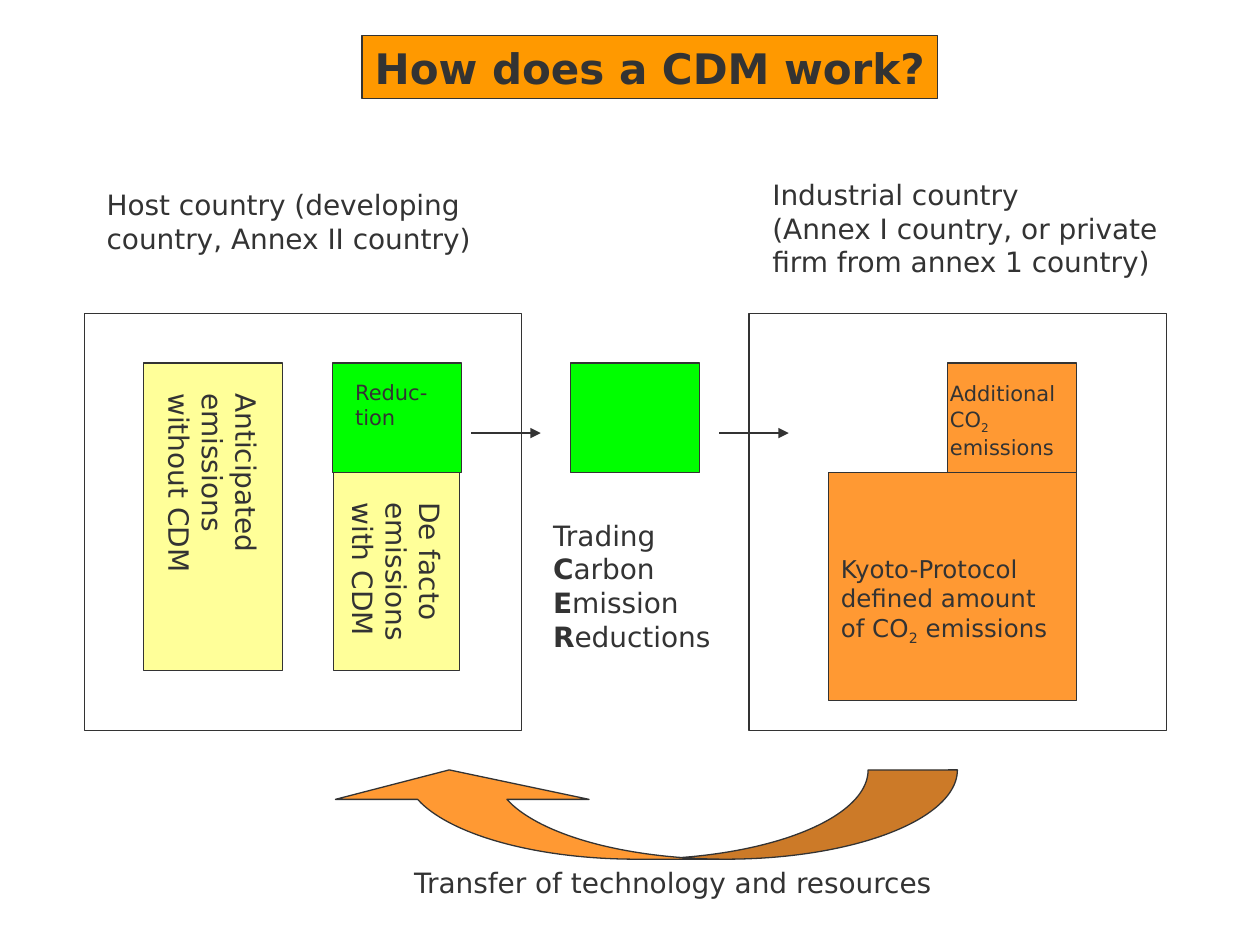
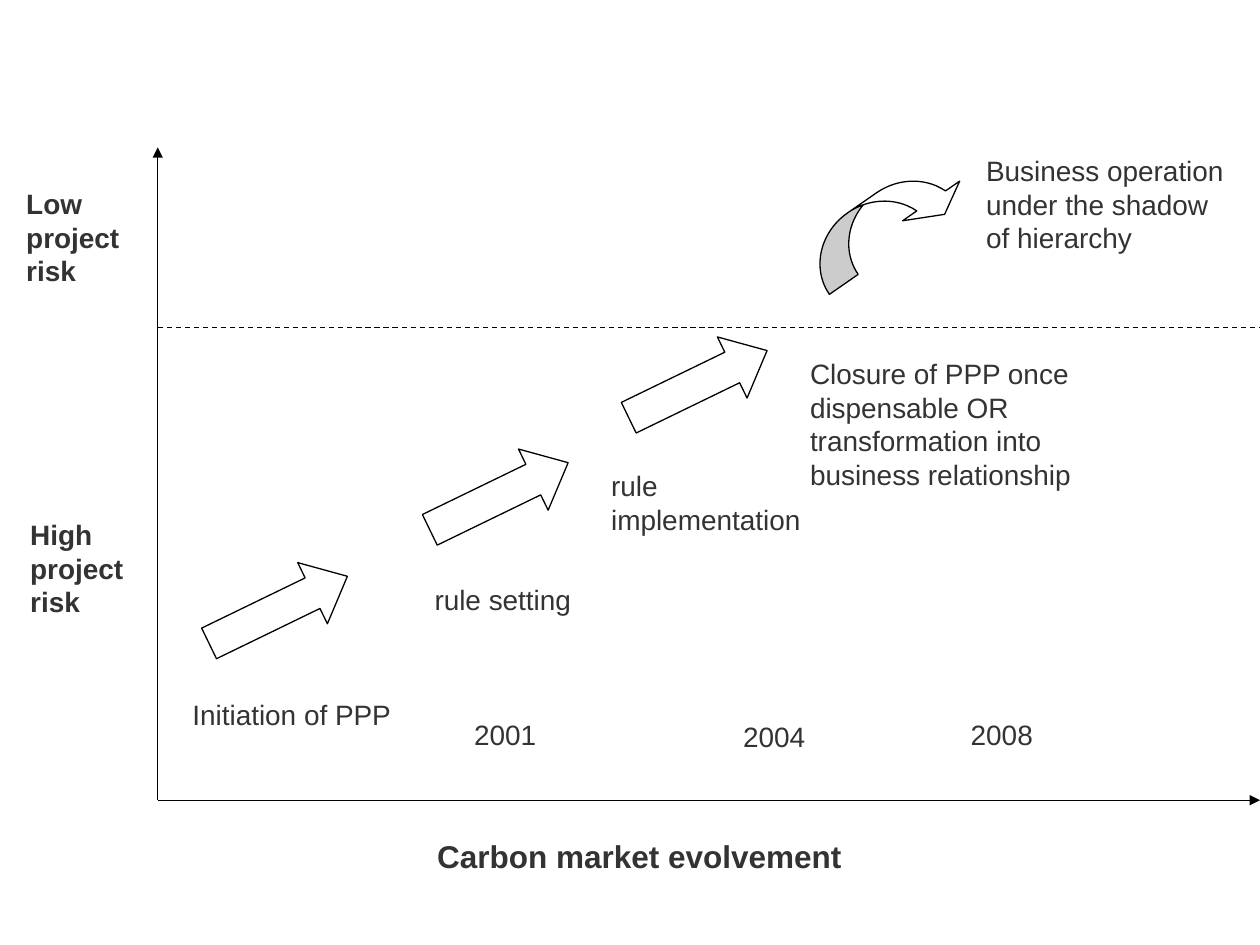
from dataclasses import dataclass
from typing import Optional

from lxml.etree import SubElement
from pptx import Presentation
from pptx.dml.color import RGBColor
from pptx.enum.dml import MSO_LINE
from pptx.enum.shapes import MSO_CONNECTOR, MSO_SHAPE as Kind
from pptx.enum.text import MSO_ANCHOR as Anchor, PP_ALIGN as Align
from pptx.oxml.ns import qn
from pptx.util import Cm, Pt


@dataclass(frozen=True)
class Theme:
    ink: str = "333333"
    black: str = "000000"
    white: str = "FFFFFF"
    yellow: str = "FFFF99"
    green: str = "00FF00"
    orange: str = "FF9933"
    banner: str = "FF9900"
    sans: str = "DejaVu Sans"
    arial: str = "Arial"
    head: int = 24
    axis: int = 18
    body: int = 16
    note: int = 14
    small: int = 12
    line: float = 0.75


T = Theme()
Place = tuple[float, float, float, float]


@dataclass(frozen=True)
class Box:
    """A rectangle or plain text; text between bars is emphasised."""
    at: Place
    text: str = ""
    fill: Optional[str] = None
    line: Optional[str] = None
    font: str = T.sans
    size: int = T.body
    bold: bool = False
    align: Align = Align.LEFT
    anchor: Anchor = Anchor.TOP
    top: float = 0.13
    turned: bool = False


@dataclass(frozen=True)
class Arrow:
    kind: Kind
    at: Place
    turn: float
    adj: tuple[float, ...]
    fill: str
    line: str


@dataclass(frozen=True)
class Rule:
    start: tuple[float, float]
    end: tuple[float, float]
    color: str
    head: bool = True
    dash: bool = False


def rgb(code: str) -> RGBColor:
    return RGBColor.from_string(code)


def paint(shape, fill: Optional[str], line: Optional[str]) -> None:
    if fill:
        shape.fill.solid()
        shape.fill.fore_color.rgb = rgb(fill)
    else:
        shape.fill.background()
    if line:
        shape.line.color.rgb = rgb(line)
        shape.line.width = Pt(T.line)
    else:
        shape.line.fill.background()


def write(shape, box: Box) -> None:
    frame = shape.text_frame
    frame.word_wrap = True
    frame.vertical_anchor = box.anchor
    side = 0.13 if box.turned else 0.25
    frame.margin_left = frame.margin_right = Cm(side)
    frame.margin_top = Cm(box.top)
    frame.margin_bottom = Cm(0.25 if box.turned else 0.13)
    if box.turned:
        frame._txBody.bodyPr.set("vert", "eaVert")
    frame.text = box.text.replace("|", "")
    for par, row in zip(frame.paragraphs, box.text.split("\n")):
        par.alignment = box.align
        par.space_before = Pt(0)
        parts = row.split("|")
        par.runs[0].text = parts[0]
        for part in parts[1:]:
            par.add_run().text = part
        for i, run in enumerate(par.runs):
            mark = i % 2 == 1
            sub = mark and run.text.isdigit()
            font = run.font
            font.name = box.font
            font.size = Pt(box.size)
            font.color.rgb = rgb(T.ink)
            font.bold = box.bold or (mark and not sub)
            if sub:
                font._element.set("baseline", "-25000")


def draw_box(slide, box: Box) -> None:
    at = [Cm(v) for v in box.at]
    if box.fill or box.line:
        shape = slide.shapes.add_shape(Kind.RECTANGLE, *at)
        shape.shadow.inherit = False
        paint(shape, box.fill, box.line)
    else:
        shape = slide.shapes.add_textbox(*at)
    if box.text:
        write(shape, box)


def draw_title(slide, box: Box) -> None:
    title = slide.shapes.title
    title.left, title.top, title.width, title.height = map(Cm, box.at)
    paint(title, box.fill, box.line)
    write(title, box)


def draw_arrow(slide, arrow: Arrow) -> None:
    shape = slide.shapes.add_shape(arrow.kind, *map(Cm, arrow.at))
    shape.shadow.inherit = False
    shape.rotation = arrow.turn
    for i, value in enumerate(arrow.adj):
        shape.adjustments[i] = value
    paint(shape, arrow.fill, arrow.line)


def draw_rule(slide, rule: Rule) -> None:
    ends = [Cm(v) for v in rule.start + rule.end]
    link = slide.shapes.add_connector(MSO_CONNECTOR.STRAIGHT, *ends)
    link.line.color.rgb = rgb(rule.color)
    link.line.width = Pt(T.line)
    if rule.dash:
        link.line.dash_style = MSO_LINE.DASH
    if rule.head:
        SubElement(link.line._get_or_add_ln(), qn("a:tailEnd"), type="triangle")
    SubElement(link._element.spPr, qn("a:effectLst"))


DRAW = {Box: draw_box, Arrow: draw_arrow, Rule: draw_rule}


def draw(slide, items: list) -> None:
    for item in items:
        DRAW[type(item)](slide, item)


def cdm_slide(deck) -> None:
    slide = deck.slides.add_slide(deck.slide_layouts[5])
    draw_title(slide, Box((7.3, 0.72, 11.6, 1.27), "How does a CDM work?",
                          T.banner, T.ink, size=T.head, bold=True,
                          align=Align.CENTER))
    row, base, edge = 7.32, 9.52, 6.32
    wide, tall = 2.6, 2.2

    def bar(at: Place, text: str) -> Box:
        return Box(at, text, T.yellow, T.ink, anchor=Anchor.MIDDLE,
                   top=0.61, turned=True)

    def block(left: float, fill: str) -> Box:
        return Box((left, row, wide, tall), fill=fill, line=T.ink)

    draw(slide, [
        Box((1.7, edge, 8.81, 8.41), line=T.ink),
        bar((2.9, row, 2.79, 6.2), "Anticipated\nemissions\nwithout CDM"),
        bar((6.73, base, 2.54, 4), "De facto\nemissions\nwith CDM"),
        block(6.7, T.green),
        Box((6.91, 7.52, 2, 1.27), "Reduc-tion", size=T.small),
        Box((1.9, 3.66, 8, 1.63),
            "Host country (developing country, Annex II country)"),
        Box((15.1, edge, 8.41, 8.41), line=T.ink),
        Box((16.7, base, 5, 4.6),
            "Kyoto-Protocol\ndefined amount\nof CO|2| emissions",
            T.orange, T.ink, size=T.note, anchor=Anchor.MIDDLE, top=0.69),
        block(11.5, T.green),
        block(19.1, T.orange),
        Box((10.9, 10.32, 4.4, 2.97),
            "Trading |C|arbon |E|mission |R|eductions"),
        Box((18.9, 7.55, 3.2, 1.85), "Additional\nCO|2| emissions",
            size=T.small),
        Box((15.32, 3.45, 8.6, 2.29), "Industrial country\n"
            "(Annex I country, or private firm from annex 1 country)"),
        Arrow(Kind.CURVED_DOWN_ARROW, (6.5, 15.52, 12.8, 1.8), 180,
              (1.42, 2.84, 0.33), T.orange, T.ink),
        Box((8.1, 17.32, 11.6, 0.94), "Transfer of technology and resources"),
    ])
    draw(slide, [Rule((x, 8.73), (x + 1.4, 8.73), T.ink) for x in (9.5, 14.5)])


def risk_slide(deck) -> None:
    slide = deck.slides.add_slide(deck.slide_layouts[6])
    left, floor, right = 3.18, 16.13, 25.4

    def label(at: Place, text: str, **more) -> Box:
        return Box(at, text, T.white, font=T.arial, **more)

    draw(slide, [
        Rule((left, floor), (right, floor), T.black),
        Rule((left, floor), (left, 2.97), T.black),
        Arrow(Kind.CURVED_DOWN_ARROW, (16.08, 3.89, 3.53, 1.14), 325.2,
              (0.62, 1.23, 0.33), T.white, T.black),
        label((3.63, 13.94, 5.77, 0.97), "Initiation of PPP"),
        label((8.51, 11.61, 3.56, 1.83), "rule setting"),
        label((12.07, 9.32, 5.33, 1.8), "rule implementation"),
        label((16.08, 7.06, 7.54, 3.18), "Closure of PPP once dispensable OR "
              "transformation into business relationship"),
        label((19.63, 2.97, 5.33, 3.12),
              "Business operation under the shadow of hierarchy"),
    ])
    steps = [(4.06, 11.61), (8.51, 9.32), (12.52, 7.06)]
    draw(slide, [Arrow(Kind.RIGHT_ARROW, (x, y, 3.1, 1.37), 334.1,
                       (0.5, 0.57), T.white, T.black) for x, y in steps])
    draw(slide, [
        Rule((left, 6.6), (right, 6.6), T.black, head=False, dash=True),
        label((14.73, 14.38, 2.21, 1.35), "2004"),
    ])
    years = [(8.89, "2001"), (18.9, "2008")]
    draw(slide, [Box((x, 14.33, 2.59, 0.94), year, font=T.arial,
                     align=Align.CENTER) for x, year in years])
    draw(slide, [
        label((0.28, 3.63, 2.54, 2.49), "Low project risk", bold=True),
        label((0.36, 10.31, 2.54, 2.41), "High project risk", bold=True),
        label((5.69, 16.74, 14.4, 1.19), "Carbon market evolvement",
              size=T.axis, bold=True, align=Align.CENTER),
    ])


def main() -> None:
    deck = Presentation()
    deck.slide_width, deck.slide_height = Cm(25.4), Cm(19.05)
    cdm_slide(deck)
    risk_slide(deck)
    deck.save("out.pptx")


if __name__ == "__main__":
    main()
